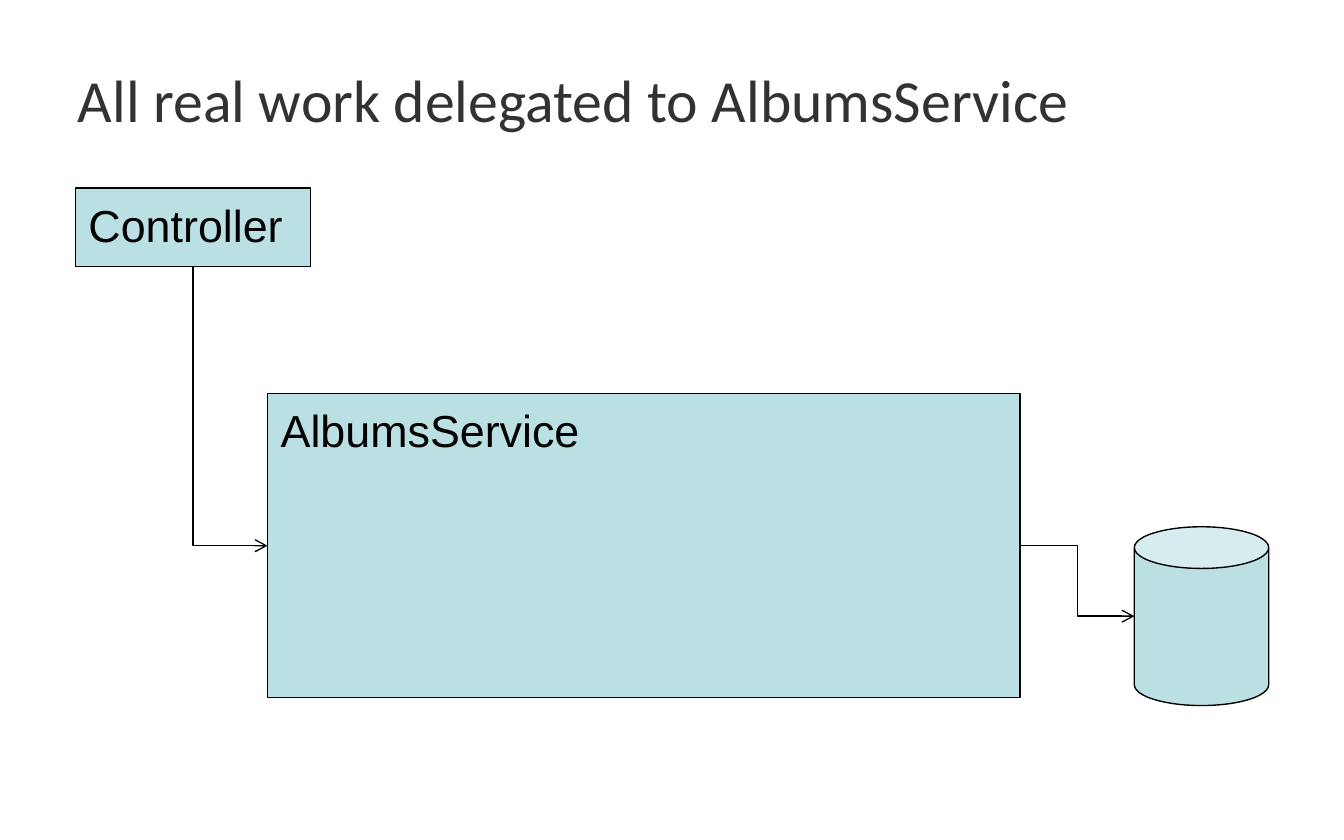
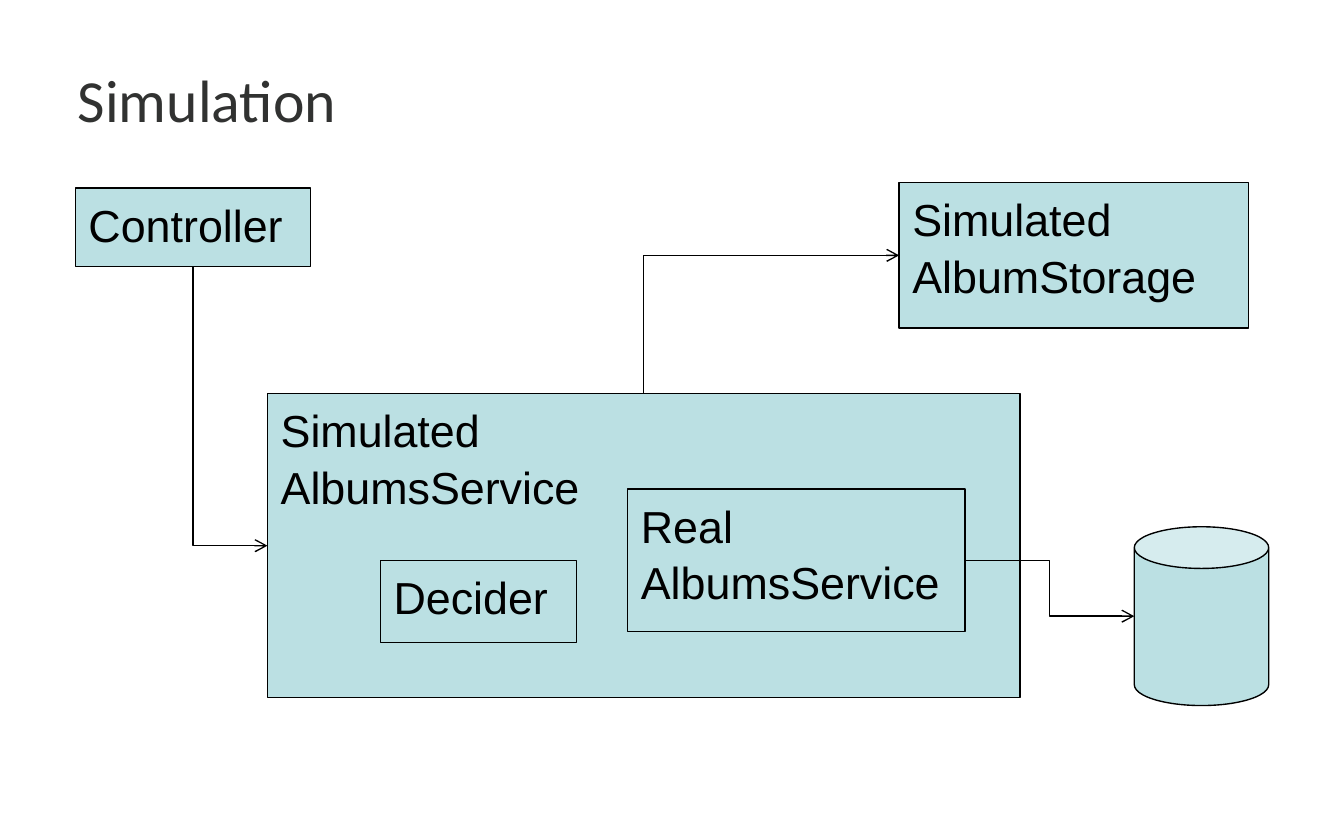
"""Build two slides that show how a controller reaches the albums service."""
from lxml.etree import SubElement
from pptx import Presentation
from pptx.dml.color import RGBColor
from pptx.enum.shapes import MSO_CONNECTOR, MSO_SHAPE
from pptx.enum.text import MSO_ANCHOR, PP_ALIGN
from pptx.oxml.ns import qn
from pptx.util import Inches, Pt

COLORS = {"paper": "FFFFFF", "title": "313231", "fill": "BBE0E3", "ink": "000000"}
COLUMNS = 100
SLIDE_WIDTH, SLIDE_HEIGHT = Inches(10), Inches(6.25)
CELL = SLIDE_WIDTH / COLUMNS
LINE_WIDTH = Pt(0.75)
TITLE_FONT = {"name": "Calibri", "size": Pt(32)}
LABEL_FONT = {"name": "Arial", "size": Pt(24)}
PARAGRAPH_FORMAT = {"alignment": PP_ALIGN.LEFT, "line_spacing": 1.05}
FRAME_FORMAT = {"word_wrap": True, "vertical_anchor": MSO_ANCHOR.TOP}
TITLE_MARGINS = dict.fromkeys(
    ("margin_left", "margin_top", "margin_right", "margin_bottom"), 0)

TITLE_PLACE = (5.8, 4.4, 87.6, 8.8)
CONTROLLER_PLACE = (5.6, 14, 17.5, 5.85)
SERVICE_PLACE = (19.9, 29.3, 56, 22.6)
REAL_SERVICE_PLACE = (46.7, 36.4, 25.1, 10.6)
DECIDER_PLACE = (28.3, 41.7, 14.6, 6.1)
STORAGE_PLACE = (66.9, 13.6, 26, 10.8)
DATABASE_PLACE = (84.4, 39.2, 10, 13.3)


def color(name):
    return RGBColor.from_string(COLORS[name])


def cells(place):
    return [round(length * CELL) for length in place]


def set_values(target, values):
    for name, value in values.items():
        setattr(target, name, value)


def write(frame, lines, font, color_name):
    set_values(frame, FRAME_FORMAT)
    for index, line in enumerate(lines):
        para = frame.add_paragraph() if index else frame.paragraphs[0]
        set_values(para, PARAGRAPH_FORMAT)
        span = para.add_run()
        span.text = line
        set_values(span.font, font)
        span.font.color.rgb = color(color_name)


def add_page(deck, title):
    page = deck.slides.add_slide(deck.slide_layouts[6])
    page.background.fill.solid()
    page.background.fill.fore_color.rgb = color("paper")
    box = page.shapes.add_textbox(*cells(TITLE_PLACE))
    set_values(box.text_frame, TITLE_MARGINS)
    write(box.text_frame, [title], TITLE_FONT, "title")
    return page


def add_block(shapes, kind, place):
    block = shapes.add_shape(kind, *cells(place))
    block.shadow.inherit = False
    block.fill.solid()
    block.fill.fore_color.rgb = color("fill")
    block.line.color.rgb = color("ink")
    block.line.width = LINE_WIDTH
    return block


def add_box(shapes, place, *lines):
    box = add_block(shapes, MSO_SHAPE.RECTANGLE, place)
    write(box.text_frame, lines, LABEL_FONT, "ink")
    return box


def add_database(page):
    database = add_block(page.shapes, MSO_SHAPE.CAN, DATABASE_PLACE)
    database.adjustments[0] = 0.31
    return database


def side(block, across, down):
    """Return the point at the given shares of a block's width and height."""
    return (round(block.left + across * block.width),
            round(block.top + down * block.height))


def add_arrow(page, begin, end):
    arrow = page.shapes.add_connector(MSO_CONNECTOR.ELBOW, *begin, *end)
    arrow.line.color.rgb = color("ink")
    arrow.line.width = LINE_WIDTH
    properties = arrow.line._get_or_add_ln()
    SubElement(properties, qn("a:tailEnd"), type="arrow")
    SubElement(arrow._element.spPr, qn("a:effectLst"))
    return arrow


def add_corner_arrow(page, begin, end):
    """Draw an arrow that runs vertically first and then turns right."""
    middle_x, middle_y = ((a + b) / 2 for a, b in zip(begin, end))
    half_width, half_height = ((b - a) / 2 for a, b in zip(begin, end))
    arrow = add_arrow(
        page,
        (round(middle_x + half_height), round(middle_y - half_width)),
        (round(middle_x - half_height), round(middle_y + half_width)))
    properties = arrow._element.spPr
    properties.find(qn("a:xfrm")).set("rot", str(270 * 60000))
    properties.find(qn("a:prstGeom")).set("prst", "bentConnector2")


def add_controller(page, service):
    controller = add_box(page.shapes, CONTROLLER_PLACE, "Controller")
    add_corner_arrow(page, side(controller, 0.5, 1), side(service, 0, 0.5))


def add_database_link(page, source):
    database = add_database(page)
    add_arrow(page, side(source, 1, 0.5), side(database, 0, 0.5))


def build_delegation(deck):
    page = add_page(deck, "All real work delegated to AlbumsService")
    service = add_box(page.shapes, SERVICE_PLACE, "AlbumsService")
    add_controller(page, service)
    add_database_link(page, service)


def build_simulation(deck):
    page = add_page(deck, "Simulation")
    group = page.shapes.add_group_shape()
    service = add_box(group.shapes, SERVICE_PLACE, "Simulated", "AlbumsService")
    real_service = add_box(group.shapes, REAL_SERVICE_PLACE, "Real", "AlbumsService")
    add_box(group.shapes, DECIDER_PLACE, "Decider")
    add_controller(page, service)
    storage = add_box(page.shapes, STORAGE_PLACE, "Simulated", "AlbumStorage")
    add_corner_arrow(page, side(service, 0.5, 0), side(storage, 0, 0.5))
    add_database_link(page, real_service)


def main():
    deck = Presentation()
    set_values(deck, {"slide_width": SLIDE_WIDTH, "slide_height": SLIDE_HEIGHT})
    build_delegation(deck)
    build_simulation(deck)
    deck.save("out.pptx")


if __name__ == "__main__":
    main()
